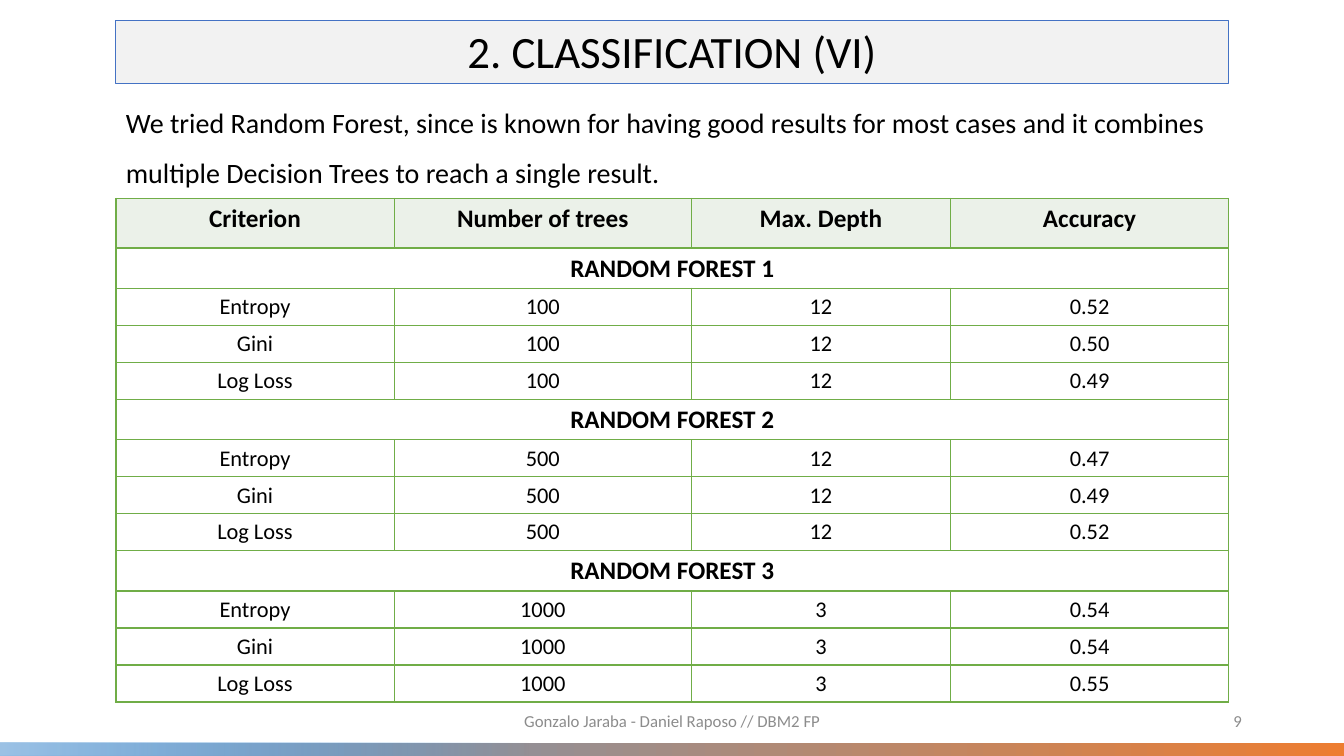
from lxml import etree
from pptx import Presentation
from pptx import util as u
from pptx.dml import color
from pptx.enum import shapes, text
from pptx.oxml import ns

Pt = u.Pt
LEFT, WIDTH = 82.8, 794.88
CENTER = text.PP_ALIGN.CENTER
MIDDLE = text.MSO_ANCHOR.MIDDLE
COLUMNS = [198.72, 212.4, 185.04, 198.72]
HEADERS = ["Criterion", "Number of trees", "Max. Depth", "Accuracy"]
CRITERIA = ["Entropy", "Gini", "Log Loss"]
FORESTS = [
    ("RANDOM FOREST 1", "100", "12", ["0.52", "0.50", "0.49"]),
    ("RANDOM FOREST 2", "500", "12", ["0.47", "0.49", "0.52"]),
    ("RANDOM FOREST 3", "1000", "3", ["0.54", "0.54", "0.55"]),
]


def rgb(value):
    return color.RGBColor.from_string(value)


def child(parent, tag, **attributes):
    return etree.SubElement(parent, ns.qn(tag), attributes)


def write(tf, content, size, hue="000000", bold=False, **formats):
    p = tf.paragraphs[0]
    for name, value in formats.items():
        setattr(p, name, value)
    r = p.add_run()
    r.text = content
    for name, value in {"name": "Calibri", "size": Pt(size), "bold": bold}.items():
        setattr(r.font, name, value)
    r.font.color.rgb = rgb(hue)


def add_rect(s, left, top, width, height):
    sp = s.shapes.add_shape(
        shapes.MSO_SHAPE.RECTANGLE, Pt(left), Pt(top), Pt(width), Pt(height))
    sp.shadow.inherit = False
    return sp


def add_title(s, content):
    sp = add_rect(s, LEFT, 14.4, WIDTH, 45.36)
    sp.fill.solid()
    sp.fill.fore_color.rgb = rgb("F2F2F2")
    sp.line.color.rgb = rgb("4472C4")
    sp.line.width = Pt(0.75)
    sp.text_frame.vertical_anchor = text.MSO_ANCHOR.BOTTOM
    write(sp.text_frame, content, 32, alignment=CENTER, line_spacing=0.9)


def add_gradient_bar(s, width, stops):
    sp = add_rect(s, 0, 530.6, width, 9.4)
    sp.line.fill.background()
    sp.fill.gradient()
    sp.fill.gradient_angle = 0
    stop_list = sp.element.spPr.find(ns.qn("a:gradFill")).find(ns.qn("a:gsLst"))
    for old in list(stop_list):
        stop_list.remove(old)
    for position, hue, opacity in stops:
        stop = child(stop_list, "a:gs", pos=str(position * 1000))
        tone = child(stop, "a:srgbClr", val=hue)
        if opacity < 100:
            child(tone, "a:alpha", val=str(opacity * 1000))


def add_text(s, box, content, size, frame, **formats):
    tf = s.shapes.add_textbox(*map(Pt, box)).text_frame
    for name, value in {"word_wrap": True, **frame}.items():
        setattr(tf, name, value)
    write(tf, content, size, **formats)


def fill_cell(cell, content, size, bold, fill=None):
    tcPr = cell._tc.get_or_add_tcPr()
    for side in ("a:lnL", "a:lnR", "a:lnT", "a:lnB"):
        border = child(tcPr, side, w=str(Pt(1)))
        child(child(border, "a:solidFill"), "a:srgbClr", val="70AD47")
    if fill:
        cell.fill.solid()
        cell.fill.fore_color.rgb = rgb(fill)
    else:
        cell.fill.background()
    if content:
        write(cell.text_frame, content, size, bold=bold, alignment=CENTER)


def add_results(s):
    rows = [HEADERS]
    for forest, trees, depth, scores in FORESTS:
        rows.append([forest, "", "", ""])
        rows += [[c, trees, depth, score] for c, score in zip(CRITERIA, scores)]
    heights = [35.28] + [20.16] * (len(rows) - 1)
    table = s.shapes.add_table(
        len(rows), len(COLUMNS), Pt(LEFT), Pt(141.84), Pt(WIDTH), Pt(sum(heights))).table
    table.first_row = table.horz_banding = False
    for column, width in zip(table.columns, COLUMNS):
        column.width = Pt(width)
    for i, (row, height) in enumerate(zip(rows, heights)):
        table.rows[i].height = Pt(height)
        is_header, is_section = i == 0, not row[1]
        bold = is_header or is_section
        for j, content in enumerate(row):
            fill_cell(table.cell(i, j), content, 18 if bold else 16, bold,
                      "EBF1E9" if is_header else None)
        if is_section:
            table.cell(i, 0).merge(table.cell(i, len(COLUMNS) - 1))


def main():
    prs = Presentation()
    prs.slide_width, prs.slide_height = Pt(960), Pt(540)
    s = prs.slides.add_slide(prs.slide_layouts[6])
    add_title(s, "2. CLASSIFICATION (VI)")
    add_gradient_bar(s, 960, [(0, "5B9BD5", 100), (100, "ED7D31", 100)])
    add_gradient_bar(s, 466.56, [(0, "9DC3E6", 100), (81, "5B9BD5", 0)])
    add_text(s, (678.24, 500.4, 216, 28.8), "9", 12, {"vertical_anchor": MIDDLE},
             hue="8C8C8C", alignment=text.PP_ALIGN.RIGHT)
    add_text(s, (318.24, 500.4, 324, 28.8), "Gonzalo Jaraba - Daniel Raposo // DBM2 FP",
             12, {"vertical_anchor": MIDDLE}, hue="8C8C8C", alignment=CENTER)
    add_results(s)
    add_text(s, (LEFT, 59.76, WIDTH, 76.32),
             "We tried Random Forest, since is known for having good results for most cases "
             "and it combines multiple Decision Trees to reach a single result.",
             20, {"auto_size": text.MSO_AUTO_SIZE.SHAPE_TO_FIT_TEXT}, line_spacing=1.5)
    prs.save("out.pptx")


if __name__ == "__main__":
    main()
